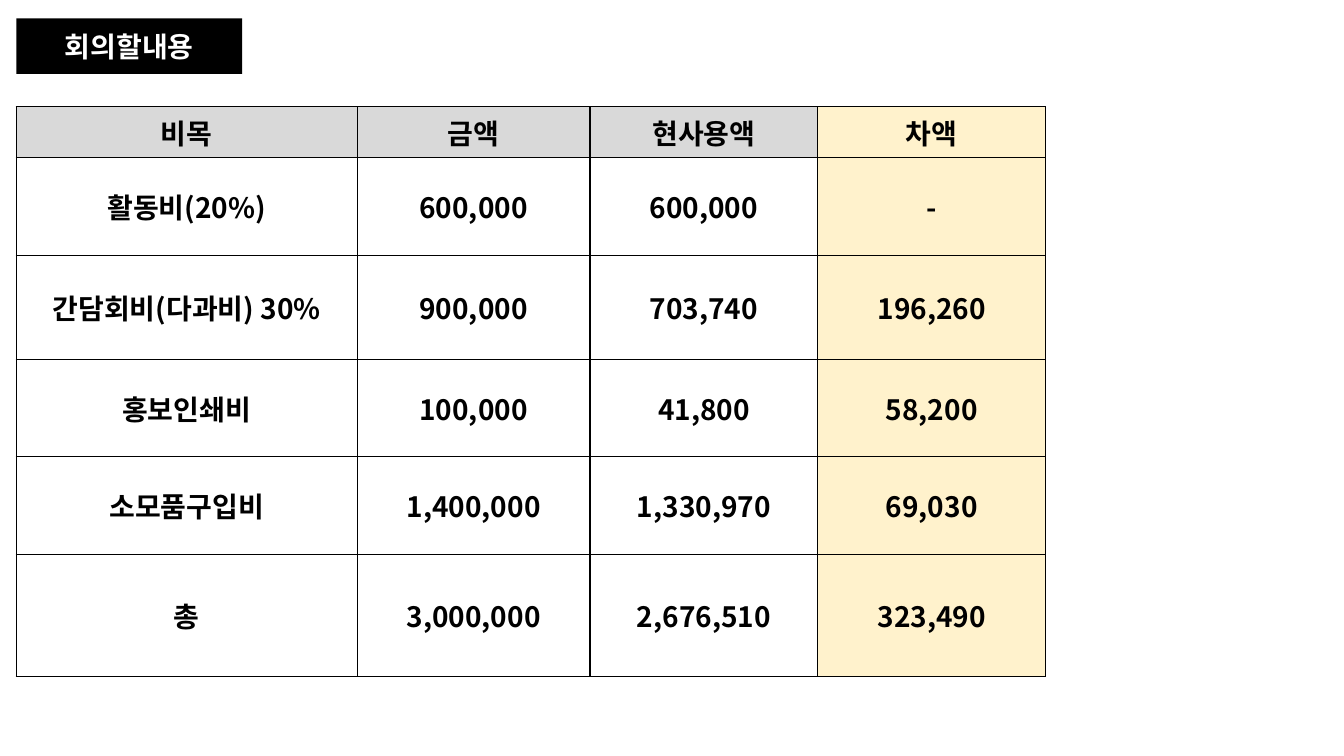
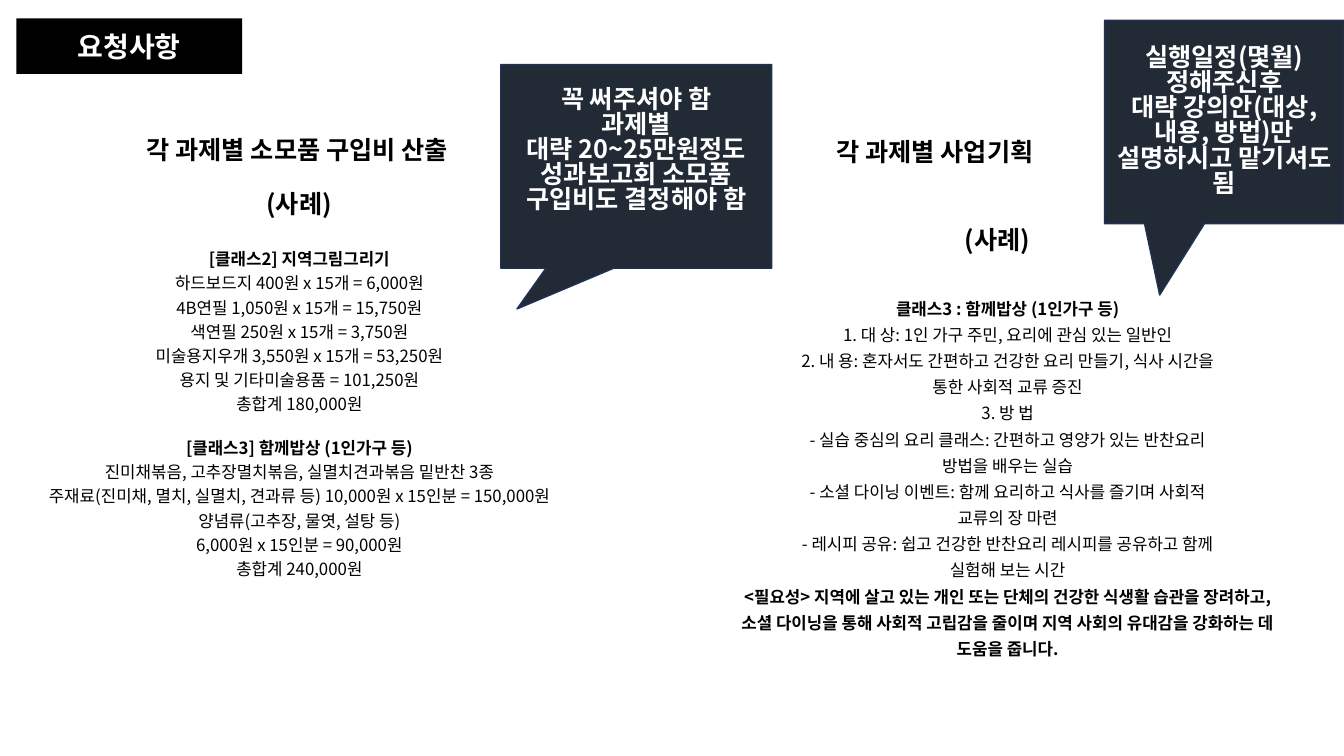
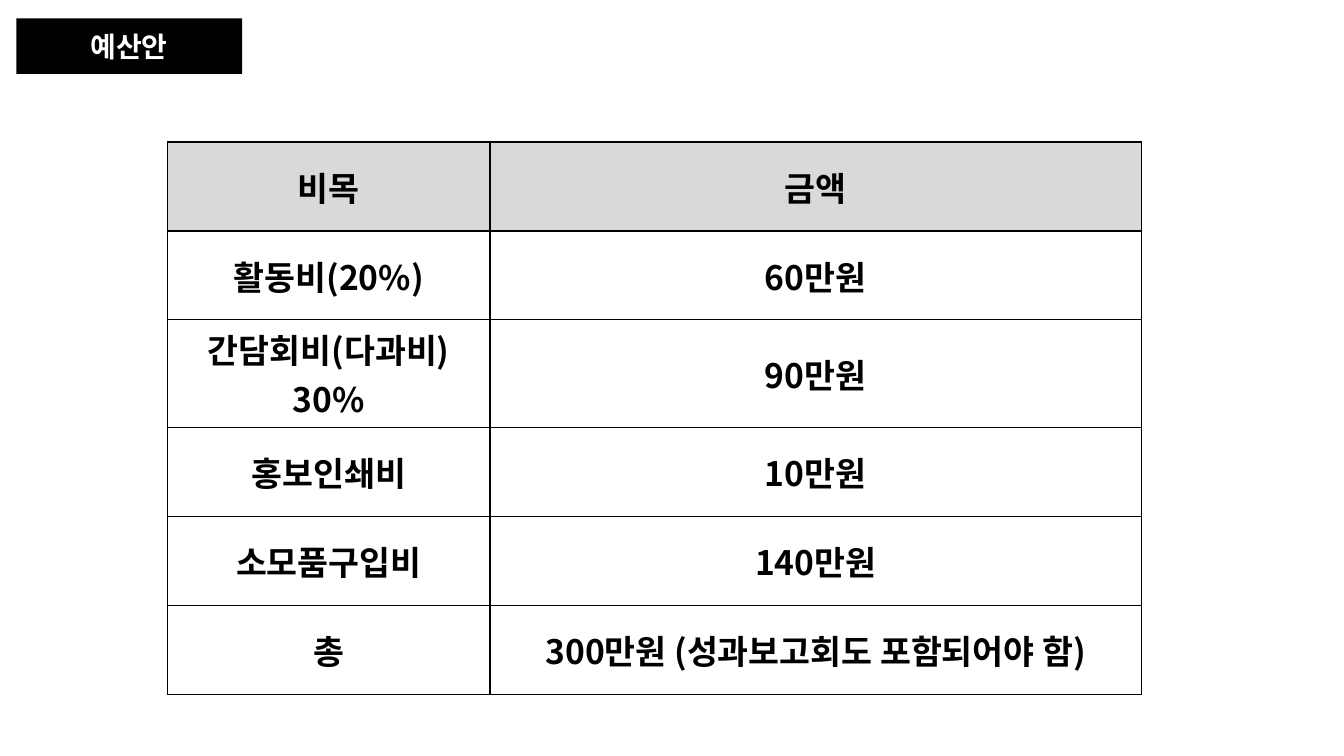
from lxml import etree
from pptx import Presentation
from pptx.dml.color import RGBColor
from pptx.enum import shapes, text
from pptx.oxml.ns import qn
from pptx.util import Cm, Pt

FONT = "Noto Sans CJK KR"
BLACK, WHITE, GREY, CREAM = "000000", "FFFFFF", "D9D9D9", "FFF2CC"
NAVY, NAVY_EDGE = "222A35", "1E3256"
TITLE_BOX = (0.41, 0.46, 5.69, 1.4)


def paint(fill, colour):
    """Give a fill one solid colour."""
    fill.solid()
    fill.fore_color.rgb = RGBColor.from_string(colour)


def style(p, size, colour=BLACK, bold=True, spacing=1.0):
    """Centre a paragraph and format its runs."""
    p.alignment = text.PP_ALIGN.CENTER
    p.line_spacing = spacing
    for r in p.runs:
        r.font.size, r.font.bold, r.font.name = Pt(size), bold, FONT
        r.font.color.rgb = RGBColor.from_string(colour)
        ea = etree.Element(qn("a:ea"), typeface=FONT)
        r.font._element.find(qn("a:latin")).addnext(ea)


def new_slide(prs, title):
    """Add a slide with the black title band."""
    s = prs.slides.add_slide(prs.slide_layouts[5])
    sp = s.shapes.title
    sp.left, sp.top, sp.width, sp.height = map(Cm, TITLE_BOX)
    paint(sp.fill, BLACK)
    tf = sp.text_frame
    tf.text = title
    tf.auto_size = text.MSO_AUTO_SIZE.NONE
    tf.vertical_anchor = text.MSO_ANCHOR.MIDDLE
    style(tf.paragraphs[0], 20, WHITE)
    return s


def add_text(s, x, y, w, h, content):
    """Add a wrapping text box and return its text frame."""
    tf = s.shapes.add_textbox(Cm(x), Cm(y), Cm(w), Cm(h)).text_frame
    tf.word_wrap = True
    tf.text = content
    return tf


def add_borders(cell):
    """Draw a black line on every side of a cell."""
    pr = cell._tc.get_or_add_tcPr()
    for i, side in enumerate(("lnL", "lnR", "lnT", "lnB")):
        ln = etree.Element(qn(f"a:{side}"), w=str(Pt(1)))
        fill = etree.SubElement(ln, qn("a:solidFill"))
        etree.SubElement(fill, qn("a:srgbClr"), val=BLACK)
        pr.insert(i, ln)


def budget_table(s, x, y, widths, heights, rows, size, accent=None):
    """Add a bordered table with a grey header and an optional accent column."""
    frame = s.shapes.add_table(len(rows), len(widths), Cm(x), Cm(y),
                               Cm(sum(widths)), Cm(sum(heights)))
    table = frame.table
    for column, width in zip(table.columns, widths):
        column.width = Cm(width)
    for i, (row, height) in enumerate(zip(rows, heights)):
        table.rows[i].height = Cm(height)
        for j, value in enumerate(row):
            cell = table.cell(i, j)
            cell.text = value
            cell.vertical_anchor = text.MSO_ANCHOR.MIDDLE
            paint(cell.fill, CREAM if j == accent else WHITE if i else GREY)
            add_borders(cell)
            style(cell.text_frame.paragraphs[0], size)


def case_panel(s, box, heading, heading_box, label_dy, body_dy, lines, bold, spacing):
    """Add a heading, a case label and the case text inside a box."""
    x, y, w, h = box
    dx, heading_w = heading_box
    tf = add_text(s, x + dx, y, heading_w, 1.02, heading)
    style(tf.paragraphs[0], 18)
    tf = add_text(s, x + 4.57, y + label_dy, 4.62, 1.02, "(사례)")
    style(tf.paragraphs[0], 18)
    tf = add_text(s, x, y + body_dy, w, h - body_dy, "\n".join(lines))
    for i, p in enumerate(tf.paragraphs):
        style(p, 12, bold=i in bold, spacing=spacing)
        if p.text.startswith("[") and i:
            p.space_before = Pt(14)


def callout(s, box, tail, content, bottom=0.13):
    """Add a dark speech box whose tail ends at the given offset."""
    sp = s.shapes.add_shape(shapes.MSO_SHAPE.RECTANGULAR_CALLOUT, *map(Cm, box))
    sp.shadow.inherit = False
    sp.adjustments[0], sp.adjustments[1] = tail
    paint(sp.fill, NAVY)
    paint(sp.line.fill, NAVY_EDGE)
    sp.line.width = Pt(1)
    tf = sp.text_frame
    tf.word_wrap = True
    tf.text = content
    tf.margin_bottom = Cm(bottom)
    tf.vertical_anchor = text.MSO_ANCHOR.MIDDLE
    for p in tf.paragraphs:
        style(p, 18, WHITE, spacing=0.83)


def spending_slide(prs):
    """Build the slide that compares budget and spending."""
    s = new_slide(prs, "회의할내용")
    rows = [
        ("비목", "금액", "현사용액", "차액"),
        ("활동비(20%)", "600,000", "600,000", "-"),
        ("간담회비(다과비) 30%", "900,000", "703,740", "196,260"),
        ("홍보인쇄비", "100,000", "41,800", "58,200"),
        ("소모품구입비", "1,400,000", "1,330,970", "69,030"),
        ("총", "3,000,000", "2,676,510", "323,490"),
    ]
    budget_table(s, 0.41, 2.69, (8.59, 5.87, 5.74, 5.74),
                 (1.22, 2.46, 2.62, 2.46, 2.46, 3.07), rows, 20, accent=3)


def request_slide(prs):
    """Build the slide with two sample cases and their callouts."""
    s = new_slide(prs, "요청사항")
    supplies = [
        "[클래스2] 지역그림그리기",
        "하드보드지 400원 x 15개 = 6,000원",
        "4B연필 1,050원 x 15개 = 15,750원",
        "색연필 250원 x 15개 = 3,750원",
        "미술용지우개 3,550원 x 15개 = 53,250원",
        "용지 및 기타미술용품 = 101,250원",
        "총합계 180,000원",
        "[클래스3] 함께밥상 (1인가구 등)",
        "진미채볶음, 고추장멸치볶음, 실멸치견과볶음 밑반찬 3종",
        "주재료(진미채, 멸치, 실멸치, 견과류 등) 10,000원 x 15인분 = 150,000원",
        "양념류(고추장, 물엿, 설탕 등)",
        "6,000원 x 15인분 = 90,000원",
        "총합계 240,000원",
    ]
    plan = [
        "클래스3 : 함께밥상 (1인가구 등)",
        "1. 대 상: 1인 가구 주민, 요리에 관심 있는 일반인",
        "2. 내 용: 혼자서도 간편하고 건강한 요리 만들기, 식사 시간을\v통한 사회적 교류 증진",
        "3. 방 법",
        "- 실습 중심의 요리 클래스: 간편하고 영양가 있는 반찬요리\v방법을 배우는 실습",
        "- 소셜 다이닝 이벤트: 함께 요리하고 식사를 즐기며 사회적\v교류의 장 마련",
        "- 레시피 공유: 쉽고 건강한 반찬요리 레시피를 공유하고 함께\v실험해 보는 시간",
        "<필요성> 지역에 살고 있는 개인 또는 단체의 건강한 식생활 습관을 장려하고, "
        "소셜 다이닝을 통해 사회적 고립감을 줄이며 지역 사회의 유대감을 "
        "강화하는 데 도움을 줍니다.",
    ]
    case_panel(s, (0.66, 3.25, 13.77, 12.22), "각 과제별 소모품 구입비 산출",
               (1.24, 11.18), 1.37, 2.8, supplies, (0, 7), 1.2)
    case_panel(s, (18.26, 3.3, 14.27, 13.46), "각 과제별 사업기획",
               (1.04, 8.53), 2.24, 3.94, plan, (0, 7), 1.3)
    callout(s, (12.62, 1.63, 6.83, 5.13), (-0.44, 0.7),
            "꼭 써주셔야 함\n과제별\n대략 20~25만원정도\n성과보고회 소모품\n구입비도 결정해야 함",
            bottom=0.89)
    callout(s, (27.84, 0.51, 6.03, 5.13), (-0.27, 0.85),
            "실행일정(몇월) 정해주신후\n대략 강의안(대상, 내용, 방법)만 설명하시고 맡기셔도 됨")


def budget_slide(prs):
    """Build the slide with the proposed budget."""
    s = new_slide(prs, "예산안")
    rows = [
        ("비목", "금액"),
        ("활동비(20%)", "60만원"),
        ("간담회비(다과비) 30%", "90만원"),
        ("홍보인쇄비", "10만원"),
        ("소모품구입비", "140만원"),
        ("총", "300만원 (성과보고회도 포함되어야 함)"),
    ]
    budget_table(s, 4.22, 3.58, (8.13, 16.41), [2.24] * len(rows), rows, 24)


def main():
    """Build and save the presentation."""
    prs = Presentation()
    prs.slide_width, prs.slide_height = Cm(33.87), Cm(19.05)
    spending_slide(prs)
    request_slide(prs)
    budget_slide(prs)
    prs.save("out.pptx")


if __name__ == "__main__":
    main()
